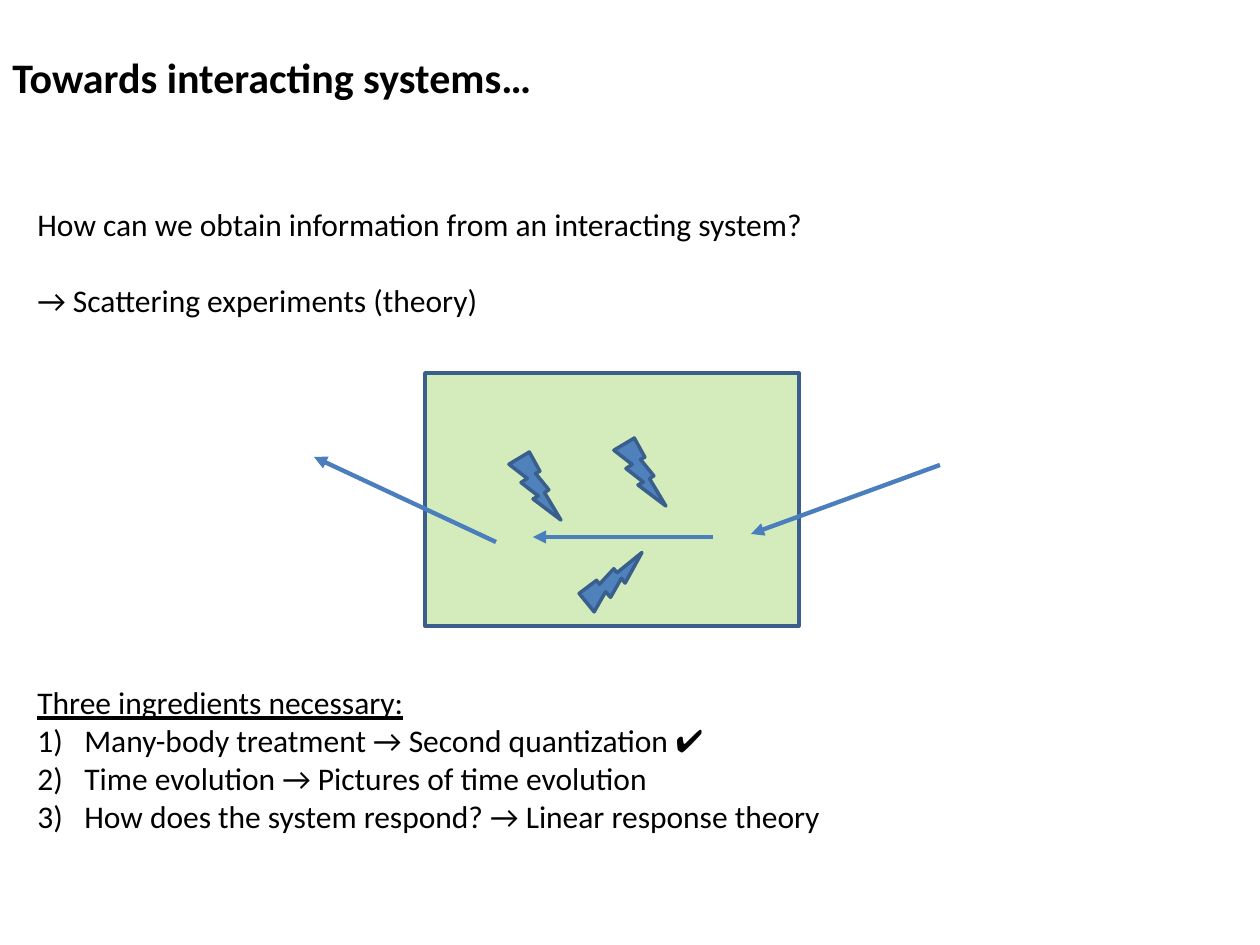
import pptx
import pptx.util
import pptx.dml.color
import pptx.enum.dml
import pptx.enum.shapes
import pptx.enum.text
import pptx.oxml
import pptx.oxml.ns
from lxml import etree

RGB = pptx.dml.color.RGBColor
BLACK = RGB(0x00, 0x00, 0x00)
GREEN = RGB(0x92, 0xD0, 0x50)
BLUE = RGB(0x4F, 0x81, 0xBD)
EDGE = RGB(0x3A, 0x5F, 0x8C)
BEAM = RGB(0x4B, 0x7E, 0xBC)

SCALE = 914400 / 126
KIND = pptx.enum.shapes.MSO_SHAPE


def px(num):
    return pptx.util.Emu(round(num * SCALE))


def add(node, tag, **attrs):
    """Append a DrawingML child element."""
    return etree.SubElement(node, pptx.oxml.ns.qn(tag), **attrs)


class Board:
    font = "Calibri"

    def __init__(self, slide):
        self.slide = slide

    def text(self, box, lines, size=18, bold=False, gap=0, wrap=False,
             anchor=pptx.enum.text.MSO_ANCHOR.TOP):
        """Place lines with a gap in points between them."""
        frame = self.slide.shapes.add_textbox(*map(px, box)).text_frame
        frame.word_wrap = wrap
        frame.vertical_anchor = anchor
        for i, line in enumerate(lines):
            para = frame.paragraphs[0] if i == 0 else frame.add_paragraph()
            para.text = line
            if i and gap:
                para.space_before = pptx.util.Pt(gap)
            para.font.name = self.font
            para.font.size = pptx.util.Pt(size)
            para.font.bold = bold
            para.font.color.rgb = BLACK
        return frame.paragraphs

    def steps(self, box, head, items):
        """Underlined heading above a numbered list."""
        first, *rest = self.text(box, [head, *items])
        first.font.underline = True
        for para in rest:
            props = para._p.get_or_add_pPr()
            props.set("marL", str(px(47)))
            props.set("indent", str(px(-47)))
            mark = pptx.oxml.parse_xml(
                f'<a:buAutoNum {pptx.oxml.ns.nsdecls("a")} type="arabicParenR"/>')
            props.find(pptx.oxml.ns.qn("a:defRPr")).addprevious(mark)

    def shape(self, kind, box, fill, alpha=100, turn=0):
        item = self.slide.shapes.add_shape(kind, *map(px, box))
        item.shadow.inherit = False
        item.rotation = turn
        item.fill.solid()
        item.fill.fore_color.rgb = fill
        if alpha < 100:
            tone = item.fill._xPr.find(".//" + pptx.oxml.ns.qn("a:srgbClr"))
            add(tone, "a:alpha", val=str(alpha * 1000))
        item.line.color.rgb = EDGE
        item.line.width = pptx.util.Pt(2)

    def arrow(self, *ends):
        straight = pptx.enum.shapes.MSO_CONNECTOR.STRAIGHT
        item = self.slide.shapes.add_connector(straight, *map(px, ends))
        item.line.color.rgb = BEAM
        item.line.width = pptx.util.Pt(2.5)
        add(item.line._get_or_add_ln(), "a:tailEnd", type="triangle")
        add(item._element.spPr, "a:effectLst")


def main():
    deck = pptx.Presentation()
    deck.slide_width, deck.slide_height = px(1260), px(945)
    board = Board(deck.slides.add_slide(deck.slide_layouts[6]))

    board.text((0, 3, 1260, 147), ["Towards interacting systems…"], size=24,
               bold=True, wrap=True, anchor=pptx.enum.text.MSO_ANCHOR.MIDDLE)
    board.shape(KIND.RECTANGLE, (425, 373, 374, 253), GREEN, alpha=39)
    board.text((25, 199, 800, 127),
               ["How can we obtain information from an interacting system?",
                "→ Scattering experiments (theory)"], gap=21.5)
    board.steps((25, 677, 820, 165), "Three ingredients necessary:",
                ["Many-body treatment → Second quantization ✔️",
                 "Time evolution → Pictures of time evolution",
                 "How does the system respond? → Linear response theory"])

    for ends in ((940, 465, 751, 534), (496, 542, 314, 457),
                 (713, 537, 533, 537)):
        board.arrow(*ends)
    for left, top, turn in ((509, 452, 0), (614, 438, 0), (586, 549, 261.8)):
        board.shape(KIND.LIGHTNING_BOLT, (left, top, 52, 68), BLUE, turn=turn)

    deck.save("out.pptx")


if __name__ == "__main__":
    main()
